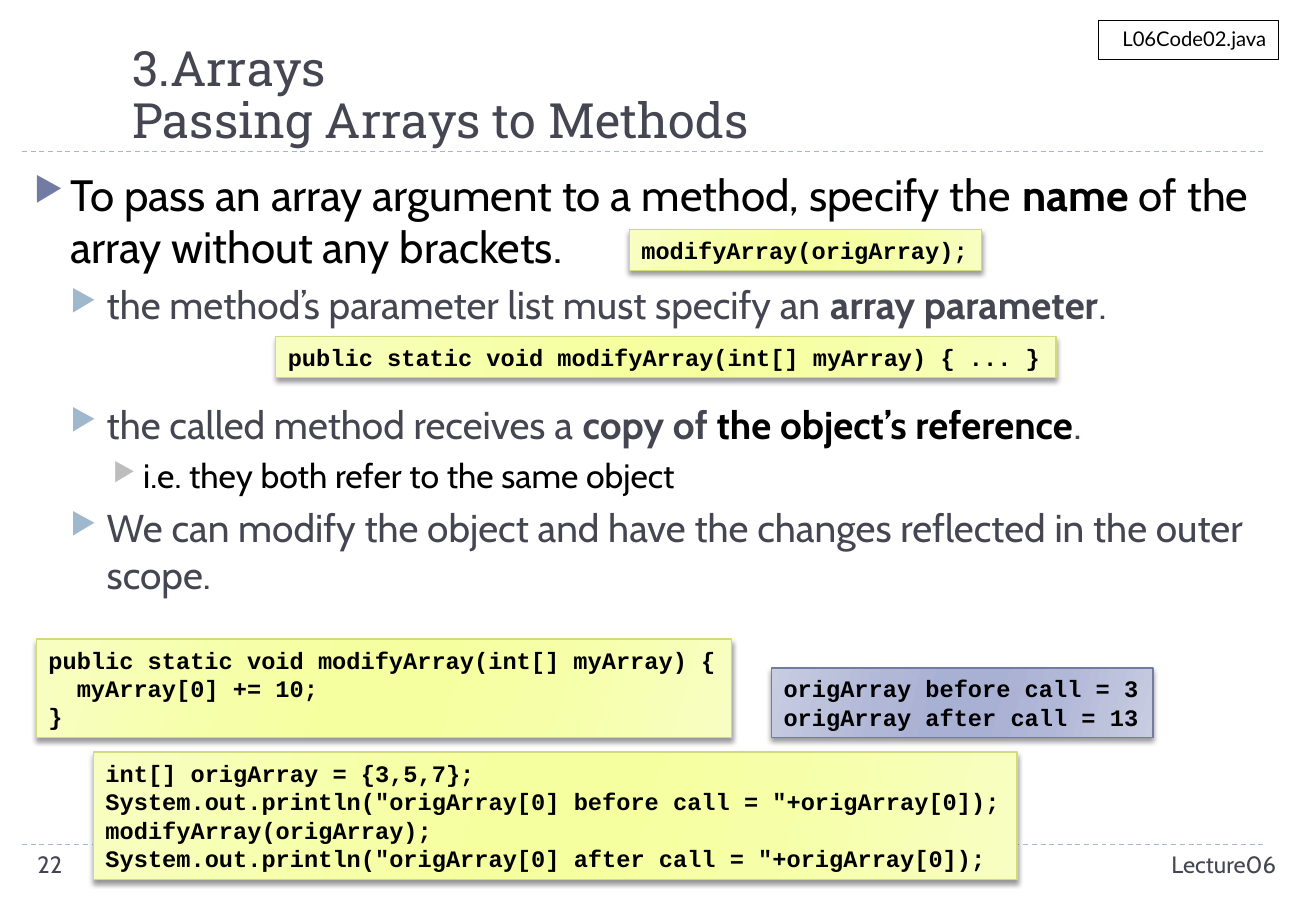
from lxml import etree
from pptx import Presentation
from pptx import util as u
from pptx.dml import color as dml_color
from pptx.enum import dml, shapes, text
from pptx.oxml import ns

INK, BLACK, WHITE, RULE = "464653", "000000", "FFFFFF", "9FB8CD"
BODY_FONT = "Cabin"
GRADIENT_POSITIONS = (0, 30, 45, 55, 73, 100)
# Outer, middle and inner gradient colours, then the outline
CODE_COLORS = ("F8FEC2", "F6FFA7", "F6FF9F", "D2DA7A")
OUTPUT_COLORS = ("C9CDE2", "B1B7D7", "A8B0D3", "727CA3")

# Per level: indent, hanging, bullet colour, text size, space before
LEVELS = (
    (0.3, 0.3, "727CA3", 26, 6),
    (0.6, 0.3, RULE, 23, 5),
    (0.9, 0.25, "BDBDBD", 20, 5),
)
# Level, extra space before, runs of (text, bold, colour)
BULLETS = (
    (0, 0, [("To pass an array argument to a method, specify the ", False, BLACK),
            ("name", True, BLACK),
            (" of the array without any brackets.", False, BLACK)]),
    (1, 0, [("the method’s parameter list must specify an ", False, INK),
            ("array parameter", True, INK),
            (".", False, INK)]),
    (1, 38, [("the called method receives a ", False, INK),
             ("copy of ", True, INK),
             ("the object’s reference", True, BLACK),
             (".", False, INK)]),
    (2, 0, [("i.e. they both refer to the same object", False, BLACK)]),
    (1, 0, [("We can modify the object and have the changes reflected "
             "in the outer scope.", False, INK)]),
)
# Box, colours, lines of code
CODE_BOXES = (
    ((2.27, 2.77, 6.42, 0.34), CODE_COLORS,
     ["public static void modifyArray(int[] myArray) { ... }"]),
    ((5.18, 1.89, 2.9, 0.34), CODE_COLORS, ["modifyArray(origArray);"]),
    ((0.77, 6.19, 7.6, 1.05), CODE_COLORS,
     ["int[] origArray = {3,5,7};",
      'System.out.println("origArray[0] before call = "+origArray[0]);',
      "modifyArray(origArray);",
      'System.out.println("origArray[0] after call = "+origArray[0]);']),
    ((0.3, 5.26, 5.72, 0.81), CODE_COLORS,
     ["public static void modifyArray(int[] myArray) {",
      "  myArray[0] += 10;",
      "}"]),
    ((6.35, 5.5, 3.14, 0.57), OUTPUT_COLORS,
     ["origArray before call = 3", "origArray after call = 13"]),
)


def rgb(value):
    return dml_color.RGBColor.from_string(value)


def inches(box):
    return [u.Inches(length) for length in box]


def add_xml(parent, tag, **attributes):
    child = etree.SubElement(parent, ns.qn(tag))
    for name, value in attributes.items():
        child.set(name, str(value))
    return child


def add_run(paragraph, words, size, font, color, bold=False):
    run = paragraph.add_run()
    run.text = words
    run.font.size = u.Pt(size)
    run.font.name = font
    run.font.bold = bold
    run.font.color.rgb = rgb(color)


def paragraph_at(frame, index):
    return frame.paragraphs[0] if index == 0 else frame.add_paragraph()


def add_rule(slide, left, top, width):
    ends = inches((left, top, left + width, top))
    line = slide.shapes.add_connector(shapes.MSO_CONNECTOR.STRAIGHT, *ends)
    line.line.color.rgb = rgb(RULE)
    line.line.width = u.Pt(0.75)
    line.line.dash_style = dml.MSO_LINE.DASH
    add_xml(line._element.spPr, "a:effectLst")


def add_title(slide, box, lines):
    title = slide.shapes.title
    title.left, title.top, title.width, title.height = inches(box)
    frame = title.text_frame
    frame.word_wrap = True
    frame.auto_size = text.MSO_AUTO_SIZE.NONE
    frame.vertical_anchor = text.MSO_ANCHOR.BOTTOM
    frame.margin_bottom = u.Inches(0.02)
    paragraph = frame.paragraphs[0]
    paragraph.alignment = text.PP_ALIGN.LEFT
    paragraph.line_spacing = 0.9
    for index, words in enumerate(lines):
        if index:
            paragraph.add_line_break()
        add_run(paragraph, words, 28.8, "Roboto Slab", INK)


def add_bullets(slide, box):
    frame = slide.shapes.add_textbox(*inches(box)).text_frame
    frame.word_wrap = True
    for index, (level, extra_space, runs) in enumerate(BULLETS):
        indent, hanging, bullet_color, size, space = LEVELS[level]
        paragraph = paragraph_at(frame, index)
        paragraph.level = level
        paragraph.space_before = u.Pt(space + extra_space)
        properties = paragraph._p.get_or_add_pPr()
        properties.set("marL", str(u.Inches(indent)))
        properties.set("indent", str(-u.Inches(hanging)))
        add_xml(add_xml(properties, "a:buClr"), "a:srgbClr", val=bullet_color)
        add_xml(properties, "a:buSzPct", val=76000)
        add_xml(properties, "a:buChar", char="▶")
        for words, bold, color in runs:
            add_run(paragraph, words, size, BODY_FONT, color, bold)


def add_box(slide, box, outline):
    shape = slide.shapes.add_shape(shapes.MSO_SHAPE.RECTANGLE, *inches(box))
    shape.line.color.rgb = rgb(outline)
    shape.line.width = u.Pt(0.75)
    shape.shadow.inherit = False
    return shape


def add_code_box(slide, box, colors, lines):
    outer, middle, inner, outline = colors
    shape = add_box(slide, box, outline)

    # Mirrored gradient
    shape.fill.gradient()
    shape.fill.gradient_angle = 344
    properties = shape._element.spPr
    stops = properties.find(".//" + ns.qn("a:gsLst"))
    for stop in list(stops):
        stops.remove(stop)
    stop_colors = (outer, middle, inner, inner, middle, outer)
    for position, color in zip(GRADIENT_POSITIONS, stop_colors):
        stop = add_xml(stops, "a:gs", pos=position * 1000)
        add_xml(stop, "a:srgbClr", val=color)

    # Soft shadow below
    effects = properties.find(ns.qn("a:effectLst"))
    shadow = add_xml(effects, "a:outerShdw", blurRad=u.Pt(3), dist=u.Pt(2),
                     dir=90 * 60000, rotWithShape=0)
    shadow_color = add_xml(shadow, "a:srgbClr", val=BLACK)
    add_xml(shadow_color, "a:alpha", val=40000)

    frame = shape.text_frame
    frame.word_wrap = False
    frame.vertical_anchor = text.MSO_ANCHOR.MIDDLE
    for index, words in enumerate(lines):
        paragraph = paragraph_at(frame, index)
        paragraph.alignment = text.PP_ALIGN.LEFT
        add_run(paragraph, words, 14, "Courier New", BLACK, True)


def add_file_label(slide, box, words):
    shape = add_box(slide, box, BLACK)
    shape.fill.solid()
    shape.fill.fore_color.rgb = rgb(WHITE)
    shape.text_frame.vertical_anchor = text.MSO_ANCHOR.TOP
    paragraph = shape.text_frame.paragraphs[0]
    paragraph.alignment = text.PP_ALIGN.RIGHT
    add_run(paragraph, words, 12, "Lato", BLACK)


def add_footer(slide, box, words, alignment):
    frame = slide.shapes.add_textbox(*inches(box)).text_frame
    frame.word_wrap = True
    paragraph = frame.paragraphs[0]
    paragraph.alignment = alignment
    add_run(paragraph, words, 14, BODY_FONT, INK)


def main():
    presentation = Presentation()
    presentation.slide_width = u.Inches(10.83)
    presentation.slide_height = u.Inches(7.5)
    slide = presentation.slides.add_slide(presentation.slide_layouts[5])

    # Rules and title
    for top in (6.95, 1.25):
        add_rule(slide, 0.18, top, 10.24)
    add_title(slide, (0.99, 0.17, 9.55, 1.08),
              ["3.Arrays", "Passing Arrays to Methods"])

    # Bullets and code
    add_bullets(slide, (0.18, 1.33, 10.38, 3.69))
    for box, colors, lines in CODE_BOXES:
        add_code_box(slide, box, colors, lines)

    # File label and footer
    add_file_label(slide, (9.04, 0.17, 1.48, 0.32), "L06Code02.java")
    add_footer(slide, (0.21, 6.95, 2.35, 0.4), "22", text.PP_ALIGN.LEFT)
    add_footer(slide, (7.89, 6.95, 2.71, 0.4), "Lecture06", text.PP_ALIGN.RIGHT)

    presentation.save("out.pptx")


if __name__ == "__main__":
    main()
